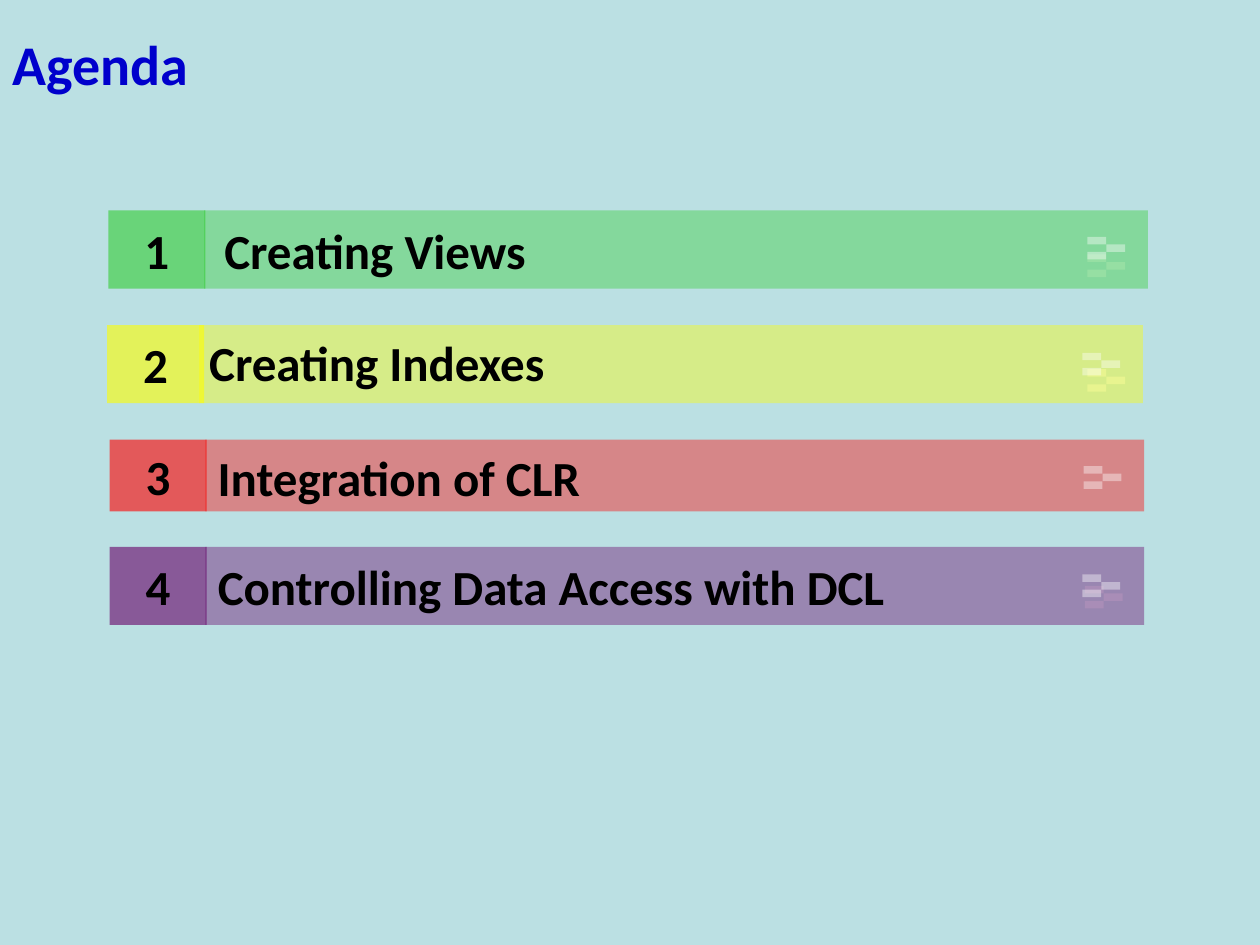
from dataclasses import dataclass

from lxml import etree
from pptx import Presentation
from pptx.dml.color import RGBColor as RGB
from pptx.enum.shapes import MSO_SHAPE as Shape
from pptx.enum.text import MSO_ANCHOR as Anchor, PP_ALIGN as Align
from pptx.oxml.ns import qn
from pptx.util import Inches, Pt

COLORS = {
    "background": "BBE0E3", "title": "0000CC", "text": "000000",
    "mark": "FFFFFF", "green": "33CC33", "yellow": "FFFF00",
    "red": "FF0000", "purple": "660066",
}
MARK_WIDTH, MARK_HEIGHT, MARK_STEP = 0.15, 0.06, 0.06
NUMBER_WIDTH = 0.77


@dataclass
class Agenda:
    slide: object
    font: str = "Calibri"
    size: int = 28

    def background(self, color):
        fill = self.slide.background.fill
        fill.solid()
        fill.fore_color.rgb = RGB.from_string(COLORS[color])

    def block(self, box, color, opacity):
        """Borderless rectangle with a see-through fill."""
        block = self.slide.shapes.add_shape(Shape.RECTANGLE, *map(Inches, box))
        block.shadow.inherit = False
        block.line.fill.background()
        block.fill.solid()
        block.fill.fore_color.rgb = RGB.from_string(COLORS[color])
        tint = block.fill._xPr.find(".//" + qn("a:srgbClr"))
        etree.SubElement(tint, qn("a:alpha"), val=str(opacity * 1000))
        return block

    def caption(self, holder, words, size=None, color="text", align=Align.LEFT,
                anchor=Anchor.MIDDLE, indent=0.1):
        frame = holder.text_frame
        layout = {"word_wrap": True, "vertical_anchor": anchor,
                  "margin_left": Inches(indent), "margin_right": Inches(0.1),
                  "margin_top": Inches(0.05), "margin_bottom": Inches(0.05)}
        for name, value in layout.items():
            setattr(frame, name, value)
        line = frame.paragraphs[0]
        line.alignment = align
        run = line.add_run()
        run.text = words
        style = {"name": self.font, "size": Pt(size or self.size), "bold": True}
        for name, value in style.items():
            setattr(run.font, name, value)
        run.font.color.rgb = RGB.from_string(COLORS[color])

    def label(self, box, words, **style):
        self.caption(self.slide.shapes.add_textbox(*map(Inches, box)), words, **style)

    def number(self, left, top, height, value, color):
        tile = self.block((left, top, NUMBER_WIDTH, height), color, 60)
        self.caption(tile, str(value), align=Align.CENTER)

    def marks(self, left, top, opacity):
        """Three small dashes, the middle one stepped to the right."""
        for step in range(3):
            x = left + (step % 2) * MARK_WIDTH
            self.block((x, top + step * MARK_STEP, MARK_WIDTH, MARK_HEIGHT),
                       "mark", opacity)


# Number tile left, top, height; bar left, width; dashes below and above the bar
ROWS = [
    {"color": "green", "tile": (0.86, 1.67, 0.62), "bar": (1.62, 7.49),
     "under": (8.63, 2.02, 45), "over": (8.63, 1.88, 40),
     "words": "Creating Views", "indent": 0.16},
    {"color": "yellow", "tile": (0.85, 2.58, 0.62), "bar": (1.58, 7.49),
     "under": (8.63, 2.93, 45), "over": (8.59, 2.80, 40),
     "words": "Creating Indexes", "indent": 0.17, "box": (1.49, 2.59, 3.57, 0.57)},
    {"color": "red", "tile": (0.87, 3.49, 0.57), "bar": (1.63, 7.45),
     "over": (8.60, 3.70, 40),
     "words": "Integration of CLR", "box": (1.63, 3.50, 3.76, 0.57)},
    {"color": "purple", "tile": (0.87, 4.34, 0.62), "bar": (1.63, 7.45),
     "under": (8.61, 4.65, 40), "over": (8.59, 4.56, 40),
     "words": "Controlling Data Access with DCL"},
]


def main():
    deck = Presentation()
    deck.slide_width, deck.slide_height = Inches(10), Inches(7.5)
    agenda = Agenda(deck.slides.add_slide(deck.slide_layouts[6]))
    agenda.background("background")

    # Title
    agenda.label((0, 0, 8.27, 1), "Agenda", size=32, color="title")

    # Agenda rows
    for value, row in enumerate(ROWS, start=1):
        _, top, height = row["tile"]
        left, width = row["bar"]
        if "under" in row:
            agenda.marks(*row["under"])
        agenda.number(*row["tile"], value, row["color"])
        bar = agenda.block((left, top, width, height), row["color"], 40)
        agenda.marks(*row["over"])
        indent = row.get("indent", 0.1)
        if "box" in row:
            agenda.label(row["box"], row["words"], anchor=Anchor.TOP, indent=indent)
        else:
            agenda.caption(bar, row["words"], indent=indent)

    deck.save("out.pptx")


if __name__ == "__main__":
    main()
